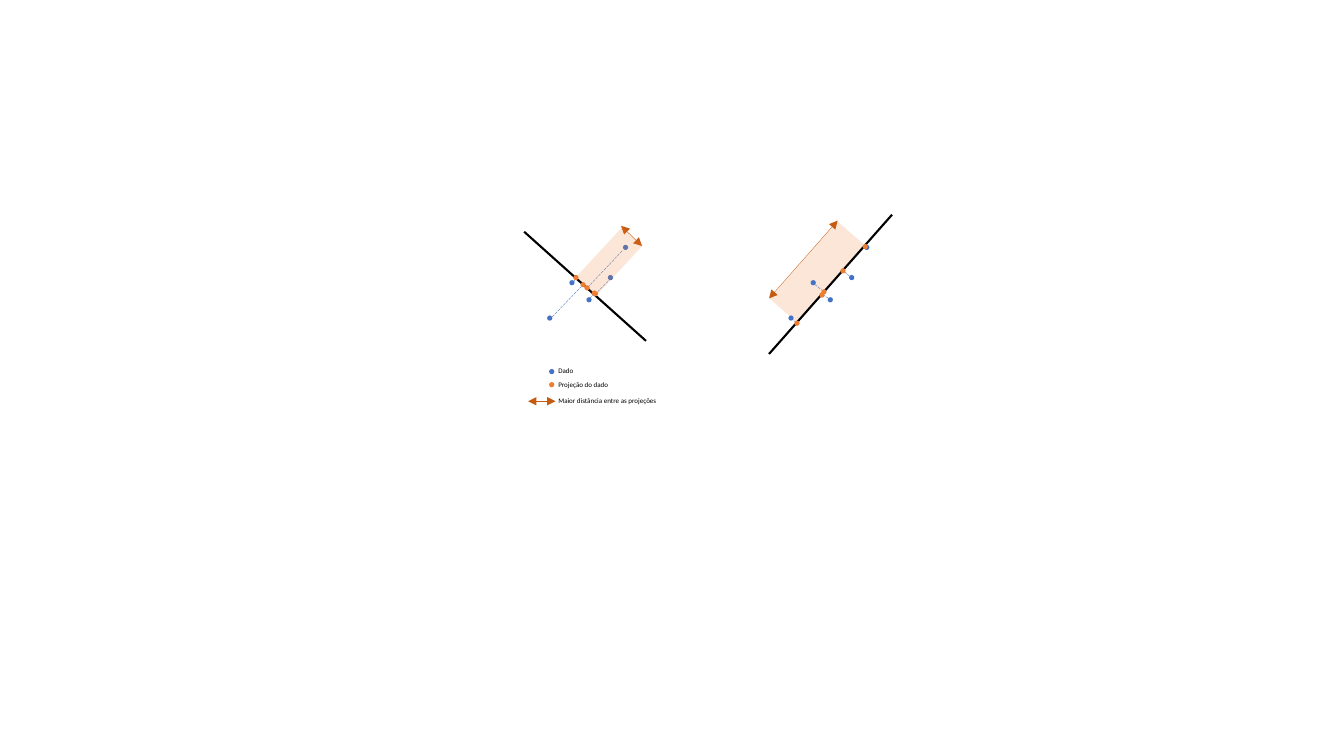
"""Build a slide that compares two axes for projecting the same data."""
from dataclasses import dataclass

from lxml import etree
from pptx import Presentation
from pptx.dml.color import RGBColor
from pptx.enum.dml import MSO_LINE
from pptx.enum.shapes import MSO_CONNECTOR, MSO_SHAPE
from pptx.enum.text import MSO_AUTO_SIZE
from pptx.oxml.ns import qn
from pptx.util import Cm, Pt

RECT = MSO_SHAPE.RECTANGLE
OVAL = MSO_SHAPE.OVAL
STRAIGHT = MSO_CONNECTOR.STRAIGHT
DASH = MSO_LINE.LONG_DASH
FIT = MSO_AUTO_SIZE.SHAPE_TO_FIT_TEXT


@dataclass(frozen=True)
class Theme:
    """Colours, type and line sizes of the slide."""
    data: str = "4472C4"
    proj: str = "ED7D31"
    span: str = "C55A11"
    ink: str = "000000"
    font: str = "Calibri"
    size: float = 5
    thin: float = 0.25
    thick: float = 1.5
    alpha: int = 19000
    dot: float = 0.13


@dataclass(frozen=True)
class Panel:
    """One axis with its projections, in centimetres."""
    shift: float
    band: tuple
    turn: float
    front: bool
    axis: tuple
    span: tuple
    rays: tuple
    proj: tuple


THEME = Theme()
DATA = ((14.35, 7.06), (14.78, 7.49), (13.79, 7.95), (15.7, 6.17), (15.32, 6.93))
LEFT = Panel(
    shift=0, band=(15.01, 5.72, 0.69, 1.73), turn=42.8, front=True,
    axis=(13.21, 5.84, 16.28, 8.59), span=(15.65, 5.69, 16.18, 6.2),
    rays=((14.99, 7.42, 15.37, 7.04), (13.92, 7.98, 14.68, 7.19),
          (14.81, 7.24, 15.7, 6.3), (14.45, 7.11, 14.5, 7.04),
          (14.86, 7.52, 14.94, 7.44)),
    proj=((14.45, 6.93), (14.63, 7.11), (14.73, 7.19), (14.91, 7.32), (14.94, 7.34)))
RIGHT = Panel(
    shift=6.08, band=(20.14, 5.56, 0.91, 2.59), turn=41.2, front=False,
    axis=(19.38, 8.92, 22.48, 5.41), span=(21.11, 5.56, 19.38, 7.52),
    rays=((20.88, 7.52, 20.73, 7.42), (20.07, 8.13, 19.91, 8),
          (20.75, 7.34, 20.5, 7.14), (21.41, 6.96, 21.26, 6.83)),
    proj=((20.02, 8.08), (20.65, 7.37), (20.7, 7.29), (21.18, 6.76), (21.74, 6.15)))
LABELS = (("Dado", 9.12, 0.89), ("Projeção do dado", 9.47, 1.85),
          ("Maior distância entre as projeções", 9.88, 3.1))


def add_form(slide, kind, box, fill):
    """Add a filled shape without outline."""
    form = slide.shapes.add_shape(kind, *map(Cm, box))
    form.shadow.inherit = False
    form.fill.solid()
    form.fill.fore_color.rgb = RGBColor.from_string(fill)
    form.line.fill.background()
    return form


def add_dot(slide, left, top, fill):
    """Add a small round marker."""
    add_form(slide, OVAL, (left, top, THEME.dot, THEME.dot), fill)


def add_band(slide, panel):
    """Add the turned, see-through band of a panel."""
    band = add_form(slide, RECT, panel.band, THEME.proj)
    band.rotation = panel.turn
    tint = band.element.spPr.find(qn("a:solidFill")).find(qn("a:srgbClr"))
    etree.SubElement(tint, qn("a:alpha"), val=str(THEME.alpha))


def add_line(slide, ends, ink, width, dash=None):
    """Add a straight line and return it."""
    line = slide.shapes.add_connector(STRAIGHT, *map(Cm, ends))
    line.line.color.rgb = RGBColor.from_string(ink)
    line.line.width = Pt(width)
    if dash:
        line.line.dash_style = dash
    etree.SubElement(line.element.spPr, qn("a:effectLst"))
    return line


def add_span(slide, ends):
    """Add a thin line with an arrowhead at each end."""
    line = add_line(slide, ends, THEME.span, THEME.thin)
    stroke = line.element.spPr.find(qn("a:ln"))
    for tip in ("a:headEnd", "a:tailEnd"):
        etree.SubElement(stroke, qn(tip), type="triangle")


def add_label(slide, text, top, width):
    """Add one line of legend text."""
    frame = slide.shapes.add_textbox(Cm(13.82), Cm(top), Cm(width), Cm(0.48)).text_frame
    frame.word_wrap = False
    frame.auto_size = FIT
    run = frame.paragraphs[0].add_run()
    run.text = text
    run.font.name = THEME.font
    run.font.size = Pt(THEME.size)
    run.font.color.rgb = RGBColor.from_string(THEME.ink)


def add_panel(slide, panel):
    """Draw the data, axis, rays and projections of a panel."""
    if not panel.front:
        add_band(slide, panel)
    for left, top in DATA:
        add_dot(slide, left + panel.shift, top, THEME.data)
    add_line(slide, panel.axis, THEME.ink, THEME.thick)
    for ray in panel.rays:
        add_line(slide, ray, THEME.data, THEME.thin, DASH)
    for left, top in panel.proj:
        add_dot(slide, left, top, THEME.proj)
    add_span(slide, panel.span)
    if panel.front:
        add_band(slide, panel)


def add_legend(slide):
    """Draw the legend keys and their labels."""
    add_dot(slide, 13.84, 9.3, THEME.data)
    add_dot(slide, 13.84, 9.63, THEME.proj)
    add_span(slide, (14, 10.11, 13.31, 10.11))
    for label in LABELS:
        add_label(slide, *label)


def main():
    """Build and save the slide."""
    deck = Presentation()
    deck.slide_width, deck.slide_height = Cm(33.87), Cm(19.05)
    slide = deck.slides.add_slide(deck.slide_layouts[6])
    for panel in (RIGHT, LEFT):
        add_panel(slide, panel)
    add_legend(slide)
    deck.save("out.pptx")


if __name__ == "__main__":
    main()
